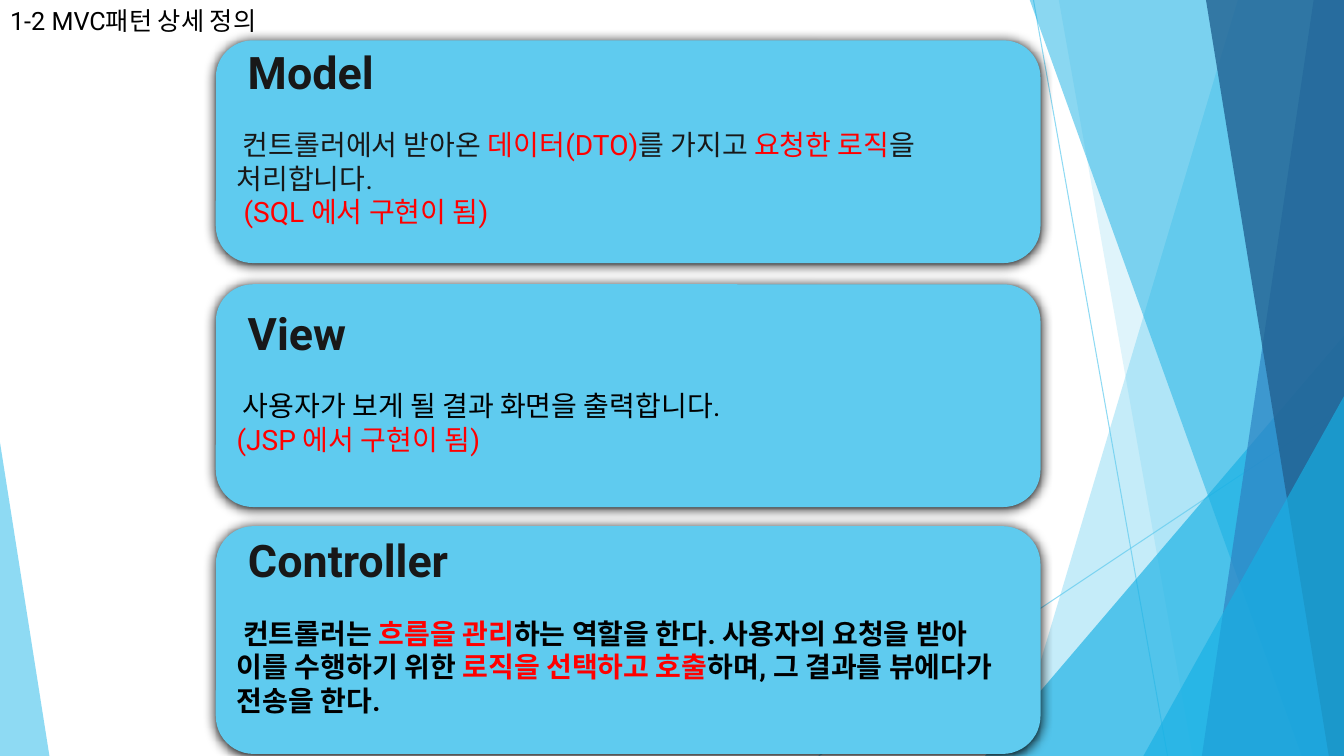
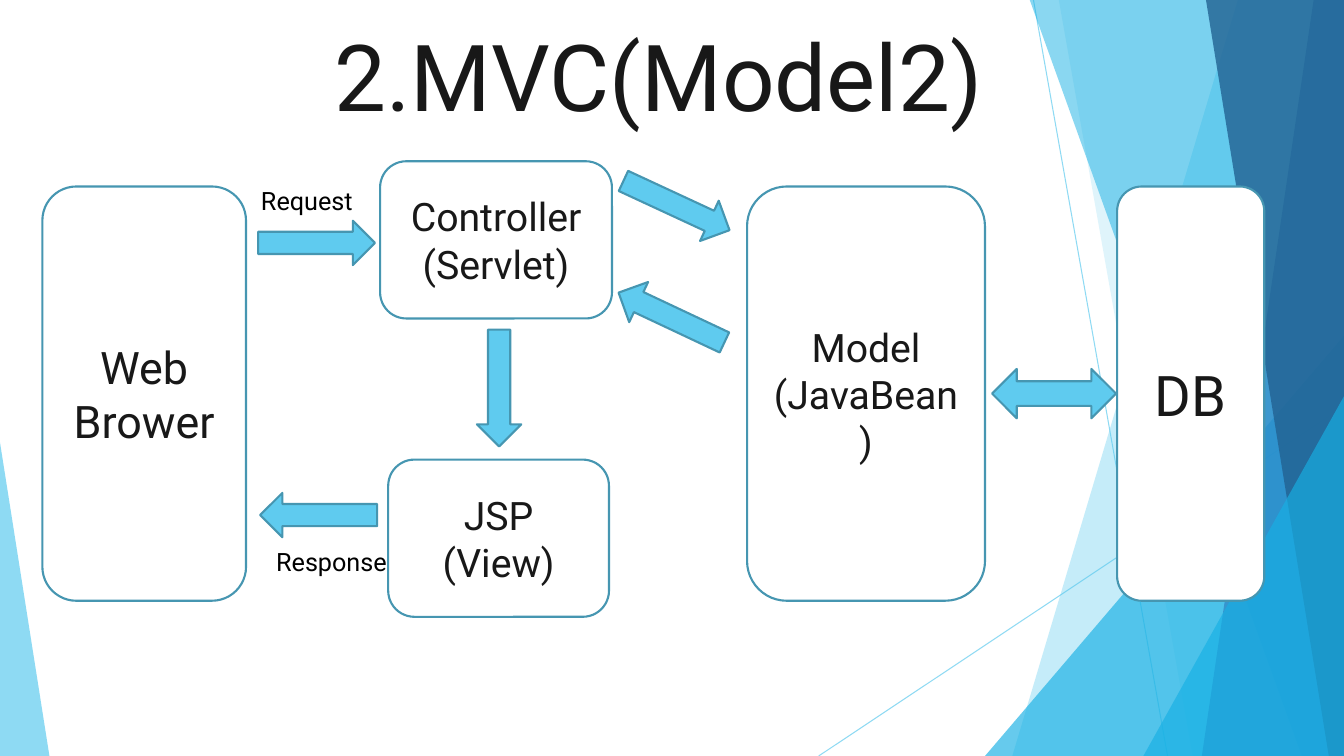
from dataclasses import dataclass

import lxml.etree
import pptx
import pptx.dml.color
import pptx.enum.shapes
import pptx.enum.text
import pptx.oxml.ns
import pptx.shapes.base
import pptx.slide
import pptx.text.text
import pptx.util

Inches = pptx.util.Inches
Color = pptx.dml.color.RGBColor
Kind = pptx.enum.shapes.MSO_SHAPE
Align = pptx.enum.text.PP_ALIGN
Anchor = pptx.enum.text.MSO_ANCHOR
qn = pptx.oxml.ns.qn

SKY = Color(0x5F, 0xCB, 0xEF)
CYAN = Color(0x17, 0xB0, 0xE4)
BLUE = Color(0x2E, 0x83, 0xC3)
NAVY = Color(0x22, 0x62, 0x92)
EDGE = Color(0x46, 0x96, 0xB1)
INK = Color(0x18, 0x18, 0x18)
BLACK = Color(0, 0, 0)
RED = Color(0xFF, 0, 0)
WHITE = Color(0xFF, 0xFF, 0xFF)
FONT = "Roboto"
WIDE, HIGH = 13.33, 7.5


@dataclass
class Ray:
    start: tuple[float, float]
    end: tuple[float, float]


@dataclass
class Band:
    top: float
    foot: float
    fill: Color
    alpha: int


@dataclass
class Wedge:
    left: float
    top: float
    width: float
    apex: float
    fill: Color
    alpha: int


@dataclass
class Card:
    top: float
    height: float
    head: str
    body: list[str]
    ink: Color
    bold: bool = False


@dataclass
class Node:
    box: tuple[float, float, float, float]
    text: str
    size: int


@dataclass
class Arrow:
    left: float
    top: float
    turn: float = 0
    width: float = 1.16
    height: float = 0.44
    kind: Kind = Kind.RIGHT_ARROW


@dataclass
class Label:
    left: float
    top: float
    text: str


DECOR = [
    Ray((10.25, 0), (11.58, HIGH)),
    Ray((WIDE, 4.03), (8.12, HIGH)),
    Band(12.28, 10.04, SKY, 36),
    Band(10.5, 11.83, SKY, 20),
    Wedge(9.77, 3.33, 3.56, 1, CYAN, 66),
    Band(10.21, 12.91, CYAN, 50),
    Band(13.03, 11.92, BLUE, 70),
    Band(11.96, 13.18, NAVY, 80),
    Wedge(11.34, 3.93, 1.99, 1, CYAN, 66),
    Wedge(0, 4.39, 0.49, 0, SKY, 70),
]
CARDS = [
    Card(0.4, 2.21, "Model", [
        " 컨트롤러에서 받아온 |데이터(DTO)|를 가지고 |요청한 로직|을 처리합니다.",
        "| (SQL 에서 구현이 됨)|"], INK),
    Card(2.82, 2.21, "View", [
        " 사용자가 보게 될 결과 화면을 출력합니다.",
        "|(JSP 에서 구현이 됨)|"], BLACK),
    Card(5.22, 2.26, "Controller", [
        " 컨트롤러는 |흐름을 관리|하는 역할을 한다. 사용자의 요청을 받아 "
        "이를 수행하기 위한 |로직을 선택하고 호출|하며, 그 결과를 뷰에다가 "
        "전송을 한다."], BLACK, True),
]
NODES = [
    Node((11.08, 1.85, 1.46, 4.11), "DB", 40),
    Node((7.41, 1.85, 2.36, 4.11), "Model\n(JavaBean)", 28),
    Node((3.77, 1.6, 2.3, 1.56), "Controller\n(Servlet)", 28),
    Node((0.42, 1.85, 2.02, 4.11), "Web\nBrower", 32),
    Node((3.85, 4.56, 2.19, 1.56), "JSP\n(View)", 28),
]
ARROWS = [
    Arrow(2.56, 2.19),
    Arrow(2.58, 4.89, 180),
    Arrow(4.37, 3.63, 90),
    Arrow(9.84, 3.66, 0, 1.23, 0.49, Kind.LEFT_RIGHT_ARROW),
    Arrow(6.08, 2.93, 205.2),
    Arrow(6.13, 1.82, 24.9),
]
LABELS = [Label(2.49, 1.79, "Request"), Label(2.64, 5.37, "Response")]


def style(run: pptx.text.text._Run, size: int, ink: Color, bold: bool = False) -> None:
    run.font.name = FONT
    run.font.size = pptx.util.Pt(size)
    run.font.color.rgb = ink
    run.font.bold = bold


def write(frame: pptx.text.text.TextFrame, text: str, size: int, ink: Color,
          align: Align = Align.LEFT, anchor: Anchor = Anchor.TOP) -> None:
    frame.text = text
    frame.word_wrap = True
    frame.vertical_anchor = anchor
    for para in frame.paragraphs:
        para.alignment = align
        for run in para.runs:
            style(run, size, ink)


def paint(shape: pptx.shapes.base.BaseShape, fill: Color, edge: Color | None = None) -> None:
    shape.shadow.inherit = False
    shape.fill.solid()
    shape.fill.fore_color.rgb = fill
    if edge is None:
        shape.line.fill.background()
    else:
        shape.line.color.rgb = edge
        shape.line.width = pptx.util.Pt(1.5)


def fade(shape: pptx.shapes.base.BaseShape, alpha: int) -> None:
    for tint in shape._element.iter(qn("a:srgbClr")):
        lxml.etree.SubElement(tint, qn("a:alpha"), val=str(alpha * 1000))


def glow(shape: pptx.shapes.base.BaseShape) -> None:
    effect = shape._element.spPr.find(qn("a:effectLst"))
    cast = lxml.etree.SubElement(
        effect, qn("a:outerShdw"), blurRad=str(pptx.util.Pt(8.5)),
        dist=str(pptx.util.Pt(1)), dir="5400000", algn="t", rotWithShape="0")
    lxml.etree.SubElement(cast, qn("a:srgbClr"), val=str(BLACK))


def add_ray(slide: pptx.slide.Slide, ray: Ray) -> pptx.shapes.base.BaseShape:
    ends = [Inches(v) for v in (*ray.start, *ray.end)]
    line = slide.shapes.add_connector(pptx.enum.shapes.MSO_CONNECTOR.STRAIGHT, *ends)
    line.line.color.rgb = SKY
    line.line.width = pptx.util.Pt(0.75)
    lxml.etree.SubElement(line._element.spPr, qn("a:effectLst"))
    fade(line, 70)
    return line


def add_band(slide: pptx.slide.Slide, band: Band) -> pptx.shapes.base.BaseShape:
    rim = Inches(-0.01)
    pen = slide.shapes.build_freeform(Inches(band.top), rim)
    pen.add_line_segments([(Inches(WIDE), rim), (Inches(WIDE), Inches(HIGH)),
                           (Inches(band.foot), Inches(HIGH))])
    shape = pen.convert_to_shape()
    paint(shape, band.fill)
    fade(shape, band.alpha)
    return shape


def add_wedge(slide: pptx.slide.Slide, wedge: Wedge) -> pptx.shapes.base.BaseShape:
    shape = slide.shapes.add_shape(
        Kind.ISOSCELES_TRIANGLE, Inches(wedge.left), Inches(wedge.top),
        Inches(wedge.width), Inches(HIGH - wedge.top))
    shape.adjustments[0] = wedge.apex
    paint(shape, wedge.fill)
    fade(shape, wedge.alpha)
    return shape


def add_decor(slide: pptx.slide.Slide) -> None:
    draw = {Ray: add_ray, Band: add_band, Wedge: add_wedge}
    tree = slide.slide_layout.shapes._spTree
    for part in DECOR:
        tree.append(draw[type(part)](slide, part)._element)


def set_title(slide: pptx.slide.Slide, text: str, size: int, ink: Color,
              box: tuple[float, float, float, float]) -> None:
    title = slide.shapes.title
    title.left, title.top, title.width, title.height = map(Inches, box)
    write(title.text_frame, text, size, ink)
    title.text_frame.auto_size = pptx.enum.text.MSO_AUTO_SIZE.NONE


def add_card(slide: pptx.slide.Slide, card: Card) -> None:
    shape = slide.shapes.add_shape(
        Kind.ROUNDED_RECTANGLE, Inches(2.14), Inches(card.top),
        Inches(8.18), Inches(card.height))
    paint(shape, SKY)
    glow(shape)
    frame = shape.text_frame
    write(frame, f" {card.head}", 32, INK, anchor=Anchor.MIDDLE)
    frame.paragraphs[0].runs[0].font.bold = True
    frame.margin_bottom = Inches(0.35)
    for row, line in enumerate(card.body):
        para = frame.add_paragraph()
        para.alignment = Align.LEFT
        para.space_before = pptx.util.Pt(0 if row else 21)
        for turn, piece in enumerate(line.split("|")):
            if piece:
                run = para.add_run()
                run.text = piece
                style(run, 20, RED if turn % 2 else card.ink, card.bold)


def add_node(slide: pptx.slide.Slide, node: Node) -> None:
    shape = slide.shapes.add_shape(Kind.ROUNDED_RECTANGLE, *map(Inches, node.box))
    paint(shape, WHITE, EDGE)
    write(shape.text_frame, node.text, node.size, INK, Align.CENTER, Anchor.MIDDLE)


def add_arrow(slide: pptx.slide.Slide, arrow: Arrow) -> None:
    shape = slide.shapes.add_shape(
        arrow.kind, Inches(arrow.left), Inches(arrow.top),
        Inches(arrow.width), Inches(arrow.height))
    shape.rotation = arrow.turn
    paint(shape, SKY, EDGE)


def add_label(slide: pptx.slide.Slide, label: Label) -> None:
    box = slide.shapes.add_textbox(
        Inches(label.left), Inches(label.top), Inches(1.79), Inches(0.4))
    write(box.text_frame, label.text, 18, BLACK)


def main() -> None:
    deck = pptx.Presentation()
    deck.slide_width, deck.slide_height = Inches(WIDE), Inches(HIGH)
    layout = deck.slide_layouts[5]

    roles = deck.slides.add_slide(layout)
    add_decor(roles)
    set_title(roles, "1-2 MVC패턴 상세 정의", 18, BLACK, (0, 0, 2.78, 0.4))
    for card in CARDS:
        add_card(roles, card)

    flow = deck.slides.add_slide(layout)
    set_title(flow, "2.MVC(Model2)", 66, INK, (3.22, 0.14, 6.68, 1.21))
    for node in NODES:
        add_node(flow, node)
    for arrow in ARROWS:
        add_arrow(flow, arrow)
    for label in LABELS:
        add_label(flow, label)

    deck.save("out.pptx")


main()
